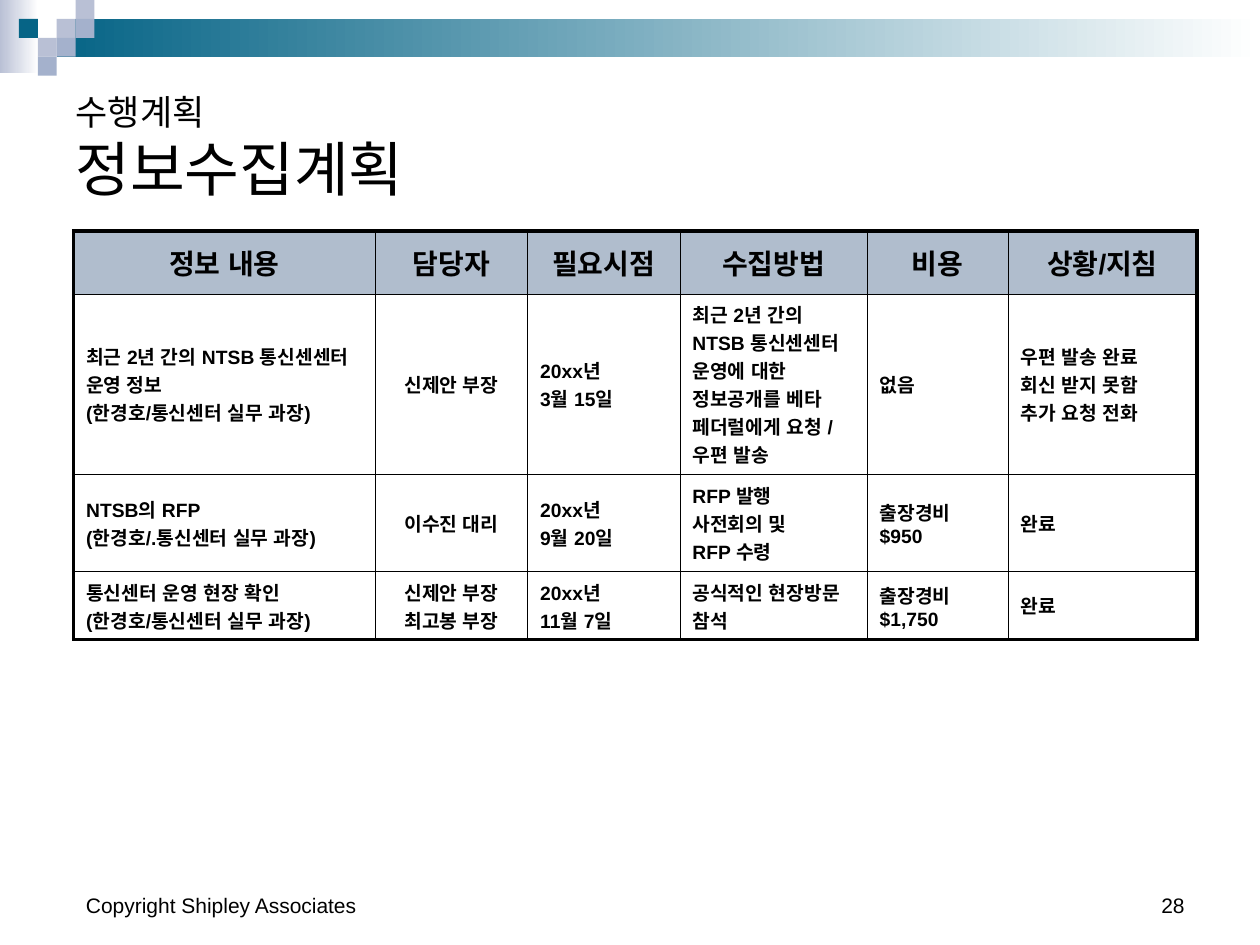
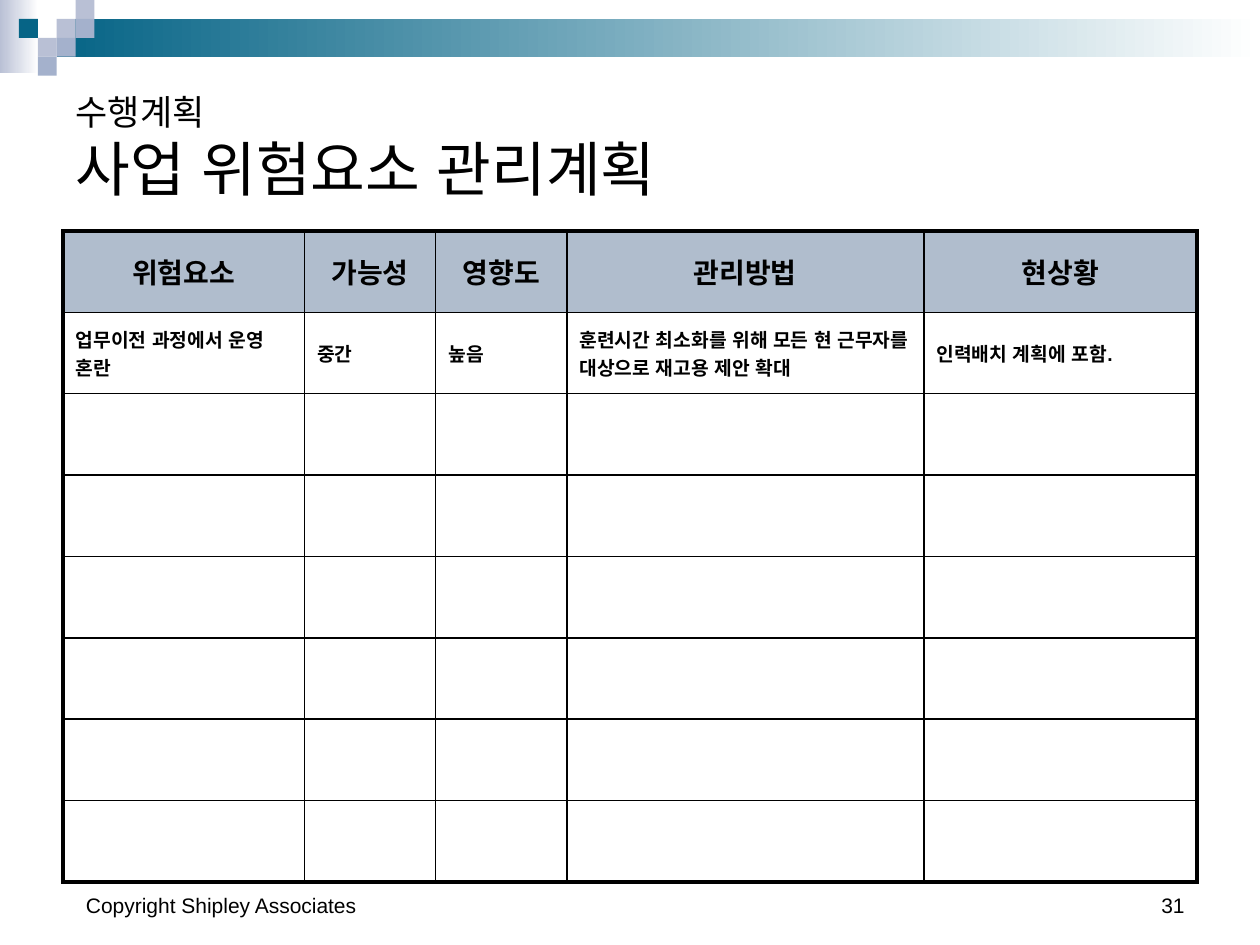
from copy import deepcopy

from lxml.etree import SubElement
from pptx import Presentation
from pptx.dml.color import RGBColor
from pptx.enum.lang import MSO_LANGUAGE_ID
from pptx.enum.shapes import MSO_SHAPE
from pptx.enum.text import MSO_ANCHOR, MSO_AUTO_SIZE, PP_ALIGN
from pptx.oxml.ns import qn
from pptx.util import Pt

BLACK = RGBColor(0x00, 0x00, 0x00)
WHITE = RGBColor(0xFF, 0xFF, 0xFF)
TEAL = RGBColor(0x06, 0x64, 0x86)
LAVENDER = RGBColor(0xB9, 0xC0, 0xD5)
PERIWINKLE = RGBColor(0xA4, 0xB1, 0xCC)
HEADER_FILL = RGBColor(0xB0, 0xBD, 0xCD)

FONT = "Arial"
SECTION = "수행계획"
COPYRIGHT = "Copyright Shipley Associates"
FRAME_WIDTH = 2.25

# Corner mosaic: column, row and colour of each square
SQUARE = 10.8
MOSAIC = [
    (3, 1, LAVENDER), (4, 0, LAVENDER), (4, 1, PERIWINKLE), (2, 2, LAVENDER),
    (1, 1, TEAL), (3, 2, PERIWINKLE), (2, 3, PERIWINKLE),
]

INFO_ROWS = [
    ["정보 내용", "담당자", "필요시점", "수집방법", "비용", "상황/지침"],
    ["최근 2년 간의 NTSB 통신센센터 운영 정보\n(한경호/통신센터 실무 과장)",
     "신제안 부장", "20xx년\n3월 15일",
     "최근 2년 간의 NTSB 통신센센터 운영에 대한 정보공개를 베타 페더럴에게 요청 / 우편 발송",
     "없음", "우편 발송 완료\n회신 받지 못함\n추가 요청 전화"],
    ["NTSB의 RFP\n(한경호/.통신센터 실무 과장)", "이수진 대리",
     "20xx년\n9월 20일", "RFP 발행\n사전회의 및\nRFP 수령",
     "출장경비 $950", "완료"],
    ["통신센터 운영 현장 확인\n(한경호/통신센터 실무 과장)",
     "신제안 부장\n최고봉 부장", "20xx년\n11월 7일",
     "공식적인 현장방문 참석", "출장경비 $1,750", "완료"],
]
RISK_ROWS = [
    ["위험요소", "가능성", "영향도", "관리방법", "현상황"],
    ["업무이전 과정에서 운영 혼란", "중간", "높음",
     "훈련시간 최소화를 위해 모든 현 근무자를 대상으로 재고용 제안 확대",
     "인력배치 계획에 포함."],
] + [[""] * 5] * 6


def format_paragraph(p, size, align=PP_ALIGN.LEFT, bold=False):
    p.alignment = align
    p.font.name = FONT
    p.font.size = Pt(size)
    p.font.bold = bold
    p.font.color.rgb = BLACK
    for r in p.runs:
        r.font.language_id = MSO_LANGUAGE_ID.KOREAN


def add_rect(s, left, top, width, height, color, fade=False):
    sp = s.shapes.add_shape(MSO_SHAPE.RECTANGLE, Pt(left), Pt(top), Pt(width), Pt(height))
    sp.shadow.inherit = False
    sp.line.fill.background()
    if fade:
        sp.fill.gradient()
        sp.fill.gradient_angle = 0
        for stop, stop_color in zip(sp.fill.gradient_stops, (color, WHITE)):
            stop.color.rgb = stop_color
    else:
        sp.fill.solid()
        sp.fill.fore_color.rgb = color


def add_band(s):
    add_rect(s, 0, 0, 22, 42, LAVENDER, fade=True)
    add_rect(s, 3 * SQUARE, SQUARE, 720 - 3 * SQUARE, 2 * SQUARE, TEAL, fade=True)
    for col, row, color in MOSAIC:
        add_rect(s, col * SQUARE, row * SQUARE, SQUARE, SQUARE, color)


def add_footer(s, left, width, text, align):
    tf = s.shapes.add_textbox(Pt(left), Pt(492), Pt(width), Pt(36)).text_frame
    tf.word_wrap = True
    tf.vertical_anchor = MSO_ANCHOR.BOTTOM
    tf.text = text
    format_paragraph(tf.paragraphs[0], 12, align)


def set_title(s, text):
    title = s.shapes.title
    title.left, title.top, title.width, title.height = Pt(36), Pt(36), Pt(648), Pt(84)
    tf = title.text_frame
    tf.auto_size = MSO_AUTO_SIZE.NONE
    tf.vertical_anchor = MSO_ANCHOR.BOTTOM
    p = tf.paragraphs[0]
    for line, size in ((SECTION, 20), (text, 34)):
        r = p.add_run()
        r.text = line
        r.font.size = Pt(size)
        if line == SECTION:
            p.add_line_break()
    format_paragraph(p, 34)
    # The line break takes the size of the section line
    p._p.find(qn("a:br")).insert(0, deepcopy(p.runs[0]._r.rPr))


def set_borders(cell, widths):
    tc_pr = cell._tc.get_or_add_tcPr()
    for side, width in zip("LRTB", widths):
        ln = SubElement(tc_pr, qn(f"a:ln{side}"), w=str(Pt(width)))
        fill = SubElement(ln, qn("a:solidFill"))
        SubElement(fill, qn("a:srgbClr"), val=str(BLACK))


def add_table(s, left, rows, col_widths, row_heights, line_width, centred_cols=()):
    last_row, last_col = len(rows) - 1, len(col_widths) - 1
    table = s.shapes.add_table(len(rows), len(col_widths), Pt(left), Pt(132),
                               Pt(sum(col_widths)), Pt(sum(row_heights))).table
    table.horz_banding = False
    for col, width in zip(table.columns, col_widths):
        col.width = Pt(width)
    for row, height in zip(table.rows, row_heights):
        row.height = Pt(height)
    for i, row in enumerate(rows):
        for j, text in enumerate(row):
            cell = table.cell(i, j)
            # Heavy outer frame, thin inner lines
            on_frame = (j == 0, j == last_col, i == 0, i == last_row)
            set_borders(cell, [FRAME_WIDTH if outer else line_width for outer in on_frame])
            cell.fill.solid()
            cell.fill.fore_color.rgb = WHITE if i else HEADER_FILL
            cell.vertical_anchor = MSO_ANCHOR.MIDDLE
            cell.text = text
            centred = i == 0 or j in centred_cols
            for p in cell.text_frame.paragraphs:
                format_paragraph(p, 11 if i else 16,
                                 PP_ALIGN.CENTER if centred else PP_ALIGN.LEFT, bold=True)


def add_plan_slide(prs, title, number):
    s = prs.slides.add_slide(prs.slide_layouts[5])
    add_band(s)
    add_footer(s, 516, 168, number, PP_ALIGN.RIGHT)
    add_footer(s, 42, 228, COPYRIGHT, PP_ALIGN.LEFT)
    set_title(s, title)
    return s


def main():
    prs = Presentation()
    prs.slide_width, prs.slide_height = Pt(720), Pt(540)

    # Information gathering plan
    s = add_plan_slide(prs, "정보수집계획", "28")
    add_table(s, 42, INFO_ROWS, [172.5, 87, 87, 107, 80.5, 108],
              [36, 103, 55.5, 39], 0.25, centred_cols=(1,))

    # Risk management plan
    s = add_plan_slide(prs, "사업 위험요소 관리계획", "31")
    add_table(s, 36, RISK_ROWS, [138, 75, 75, 204, 156],
              [46.5] * len(RISK_ROWS), 1)

    prs.save("out.pptx")


if __name__ == "__main__":
    main()
